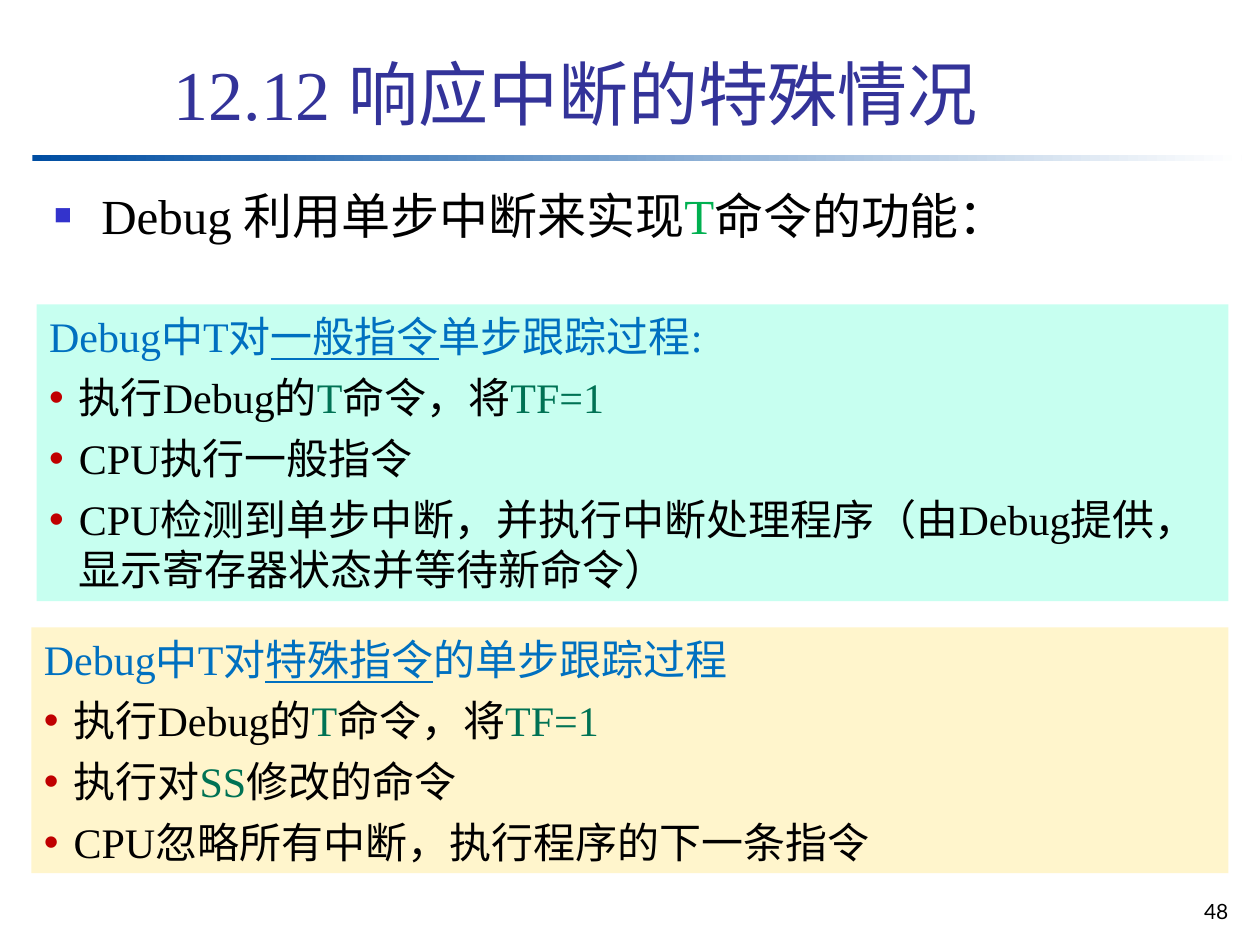
from lxml.etree import SubElement
from pptx import Presentation
from pptx.dml.color import RGBColor
from pptx.enum.shapes import MSO_SHAPE
from pptx.enum.text import MSO_ANCHOR, MSO_AUTO_SIZE, PP_ALIGN
from pptx.oxml.ns import qn
from pptx.util import Pt

COLORS = {
    "title": "333399",
    "text": "000000",
    "heading": "0070C0",
    "command": "00B050",
    "keyword": "007254",
    "square": "3333CC",
    "dot": "C00000",
    "mint": "C7FFF0",
    "cream": "FFF5CC",
    "bar_start": "004EA2",
    "bar_end": "FFFFFF",
}


class SlideBuilder:
    font_name = "Times New Roman"
    number_font = "Lato"

    def __init__(self, presentation):
        self.slide = presentation.slides.add_slide(presentation.slide_layouts[5])

    def color(self, name):
        return RGBColor.from_string(COLORS[name])

    def format_run(self, run, size, color, font_name=None, underline=None):
        run.font.size = Pt(size)
        run.font.name = font_name or self.font_name
        run.font.color.rgb = self.color(color)
        run.font.underline = underline

    def add_runs(self, paragraph, pieces, size, underline=None):
        for text, color in pieces:
            run = paragraph.add_run()
            run.text = text
            self.format_run(run, size, color, underline=True if text == underline else None)

    def bullet(self, paragraph, character, color, indent, percent=100):
        properties = paragraph._p.get_or_add_pPr()
        properties.set("marL", str(Pt(indent)))
        properties.set("indent", str(-Pt(indent)))
        bullet_color = SubElement(properties, qn("a:buClr"))
        SubElement(bullet_color, qn("a:srgbClr"), val=COLORS[color])
        SubElement(properties, qn("a:buSzPct"), val=str(percent * 1000))
        SubElement(properties, qn("a:buFont"), typeface="Arial")
        SubElement(properties, qn("a:buChar"), char=character)

    def title(self, text, left, top, width, height):
        shape = self.slide.shapes.title
        shape.left, shape.top, shape.width, shape.height = map(Pt, (left, top, width, height))
        text_frame = shape.text_frame
        text_frame.text = text
        text_frame.auto_size = MSO_AUTO_SIZE.NONE
        text_frame.vertical_anchor = MSO_ANCHOR.BOTTOM
        paragraph = text_frame.paragraphs[0]
        paragraph.alignment = PP_ALIGN.LEFT
        self.format_run(paragraph.runs[0], 40, "title")

    def rectangle(self, left, top, width, height):
        shape = self.slide.shapes.add_shape(
            MSO_SHAPE.RECTANGLE, Pt(left), Pt(top), Pt(width), Pt(height))
        shape.shadow.inherit = False
        shape.line.fill.background()
        return shape

    def gradient_bar(self, left, top, width, height):
        fill = self.rectangle(left, top, width, height).fill
        fill.gradient()
        fill.gradient_angle = 0
        for stop, name in zip(fill.gradient_stops, ("bar_start", "bar_end")):
            stop.color.rgb = self.color(name)

    def text_box(self, left, top, width, height):
        text_frame = self.slide.shapes.add_textbox(
            Pt(left), Pt(top), Pt(width), Pt(height)).text_frame
        text_frame.word_wrap = True
        return text_frame

    def lead(self, pieces, left, top, width, height):
        paragraph = self.text_box(left, top, width, height).paragraphs[0]
        paragraph.space_before = Pt(7)
        self.bullet(paragraph, "■", "square", 27, 60)
        self.add_runs(paragraph, pieces, 28)

    def page_number(self, number, left, top, width, height):
        paragraph = self.text_box(left, top, width, height).paragraphs[0]
        paragraph.text = number
        paragraph.alignment = PP_ALIGN.RIGHT
        self.format_run(paragraph.runs[0], 12, "text", self.number_font)

    def panel(self, fill, subject, ending, items, left, top, width, height):
        shape = self.rectangle(left, top, width, height)
        shape.fill.solid()
        shape.fill.fore_color.rgb = self.color(fill)
        text_frame = shape.text_frame
        text_frame.word_wrap = True
        text_frame.vertical_anchor = MSO_ANCHOR.TOP
        heading = [(text, "heading") for text in ("Debug中T对", subject, ending)]
        for index, pieces in enumerate([heading, *items]):
            paragraph = text_frame.add_paragraph() if index else text_frame.paragraphs[0]
            paragraph.alignment = PP_ALIGN.LEFT
            paragraph.space_before = Pt(6)
            if index:
                self.bullet(paragraph, "•", "dot", 17)
            self.add_runs(paragraph, pieces, 24, subject)


def main():
    presentation = Presentation()
    presentation.slide_width, presentation.slide_height = Pt(720), Pt(540)
    builder = SlideBuilder(presentation)

    builder.gradient_bar(18.5, 88.5, 691, 3.6)
    builder.page_number("48", 661, 510, 48, 24)
    builder.title("12.12 响应中断的特殊情况", 92, 13, 613.5, 67.7)
    builder.lead(
        [("Debug 利用单步中断来实现", "text"), ("T", "command"), ("命令的功能：", "text")],
        23.8, 102.2, 681, 408)

    set_flag = [("执行Debug的", "text"), ("T", "keyword"),
                ("命令，将", "text"), ("TF=1", "keyword")]
    builder.panel(
        "mint", "一般指令", "单步跟踪过程:",
        [set_flag,
         [("CPU执行一般指令", "text")],
         [("CPU检测到单步中断，并执行中断处理程序（由Debug提供，显示寄存器状态并等待新命令）", "text")]],
        21, 174, 681, 169.5)
    builder.panel(
        "cream", "特殊指令", "的单步跟踪过程",
        [set_flag,
         [("执行对", "text"), ("SS", "keyword"), ("修改的命令", "text")],
         [("CPU忽略所有中断，执行程序的下一条指令", "text")]],
        18, 358.5, 684, 140.5)

    presentation.save("out.pptx")


if __name__ == "__main__":
    main()
